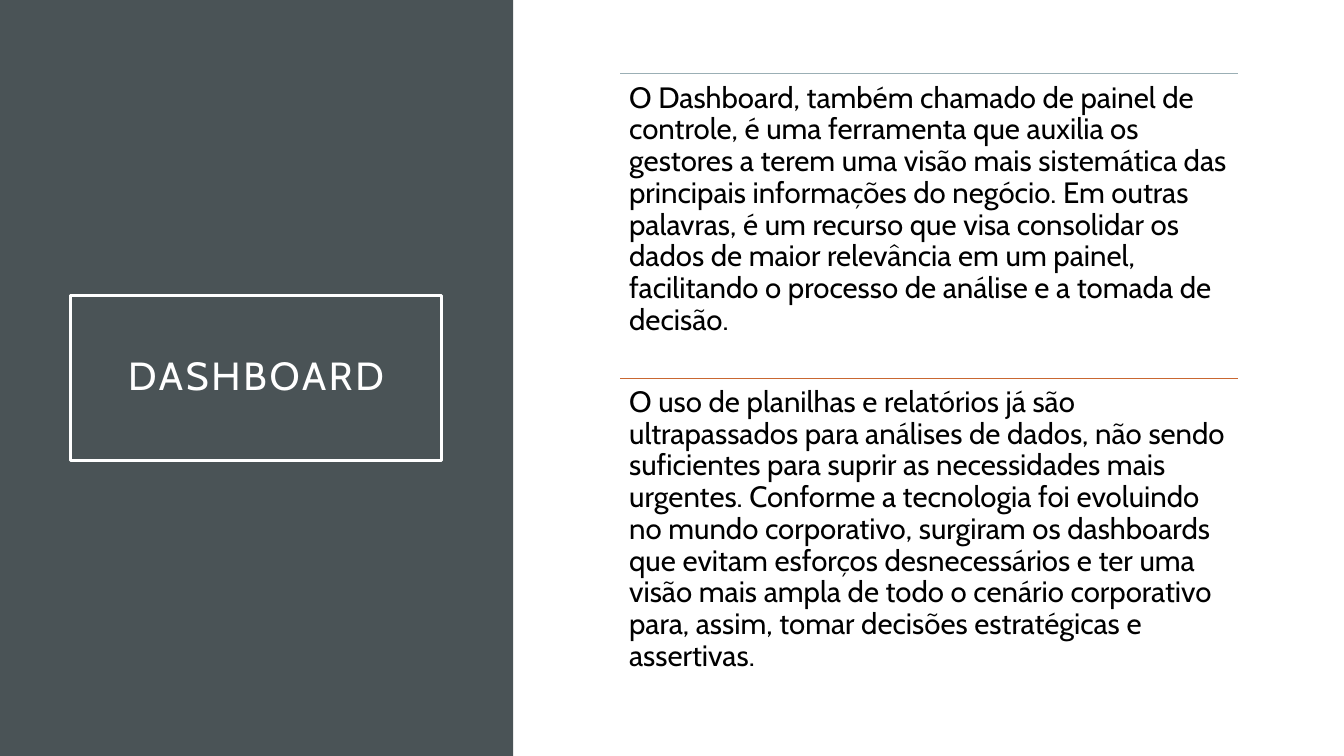
from dataclasses import dataclass

from lxml import etree
from pptx import Presentation
from pptx.dml.color import RGBColor
from pptx.enum.shapes import MSO_CONNECTOR, MSO_SHAPE
from pptx.enum.text import MSO_ANCHOR, PP_ALIGN
from pptx.oxml.ns import qn
from pptx.util import Inches, Pt

RECTANGLE = MSO_SHAPE.RECTANGLE
STRAIGHT = MSO_CONNECTOR.STRAIGHT
TOP, MIDDLE = MSO_ANCHOR.TOP, MSO_ANCHOR.MIDDLE
LEFT, CENTER = PP_ALIGN.LEFT, PP_ALIGN.CENTER

FONT = "Cabin"
SLATE, WHITE, BLACK = "4A5356", "FFFFFF", "000000"
COLUMN_LEFT, COLUMN_TOP, COLUMN_WIDTH, SECTION_HEIGHT = 6.15, 0.73, 6.13, 3.02


@dataclass
class Section:
    text: str
    rule_color: str


SECTIONS = [
    Section(
        "O Dashboard, também chamado de painel de controle, é uma ferramenta que "
        "auxilia os gestores a terem uma visão mais sistemática das principais "
        "informações do negócio. Em outras palavras, é um recurso que visa "
        "consolidar os dados de maior relevância em um painel, facilitando o "
        "processo de análise e a tomada de decisão.",
        "9BAFB5",
    ),
    Section(
        "O uso de planilhas e relatórios já são ultrapassados para análises de "
        "dados, não sendo suficientes para suprir as necessidades mais urgentes. "
        "Conforme a tecnologia foi evoluindo no mundo corporativo, surgiram os "
        "dashboards que evitam esforços desnecessários e ter uma visão mais ampla "
        "de todo o cenário corporativo para, assim, tomar decisões estratégicas e "
        "assertivas.",
        "C96731",
    ),
]


def color(value: str) -> RGBColor:
    return RGBColor.from_string(value)


def write_text(shape, text: str, *, size: float, font_color: str, inset: float,
               anchor=TOP, align=LEFT, tracking: float = 0) -> None:
    frame = shape.text_frame
    frame.word_wrap = True
    frame.vertical_anchor = anchor
    frame.margin_left = frame.margin_right = Inches(inset)
    frame.margin_top = frame.margin_bottom = Inches(inset)
    paragraph = frame.paragraphs[0]
    paragraph.alignment = align
    paragraph.line_spacing = 0.9
    run = paragraph.add_run()
    run.text = text
    run.font.name = FONT
    run.font.size = Pt(size)
    run.font.color.rgb = color(font_color)
    if tracking:
        run.font._element.set("spc", str(round(tracking * 100)))


def add_rectangle(slide, left: float, top: float, width: float, height: float):
    shape = slide.shapes.add_shape(
        RECTANGLE, Inches(left), Inches(top), Inches(width), Inches(height))
    shape.shadow.inherit = False
    return shape


def add_section(slide, section: Section, top: float) -> None:
    rule = slide.shapes.add_connector(
        STRAIGHT, Inches(COLUMN_LEFT), Inches(top),
        Inches(COLUMN_LEFT + COLUMN_WIDTH), Inches(top))
    rule.line.color.rgb = color(section.rule_color)
    rule.line.width = Pt(0.5)
    etree.SubElement(rule._element.spPr, qn("a:effectLst"))
    box = slide.shapes.add_textbox(
        Inches(COLUMN_LEFT), Inches(top), Inches(COLUMN_WIDTH), Inches(SECTION_HEIGHT))
    write_text(box, section.text, size=21, font_color=BLACK, inset=0.09)


def main() -> None:
    presentation = Presentation()
    presentation.slide_width = Inches(13.33)
    presentation.slide_height = Inches(7.5)
    slide = presentation.slides.add_slide(presentation.slide_layouts[6])

    # Dark side panel
    panel = add_rectangle(slide, 0, 0, 5.09, 7.5)
    panel.fill.solid()
    panel.fill.fore_color.rgb = color(SLATE)
    panel.line.fill.background()

    # Framed title
    title = add_rectangle(slide, 0.7, 2.93, 3.68, 1.64)
    title.fill.background()
    title.line.color.rgb = color(WHITE)
    title.line.width = Pt(2.5)
    write_text(title, "DASHBOARD", size=28, font_color=WHITE, inset=0.2,
               anchor=MIDDLE, align=CENTER, tracking=2)

    # Ruled text sections
    for index, section in enumerate(SECTIONS):
        add_section(slide, section, COLUMN_TOP + index * SECTION_HEIGHT)

    presentation.save("out.pptx")


if __name__ == "__main__":
    main()
